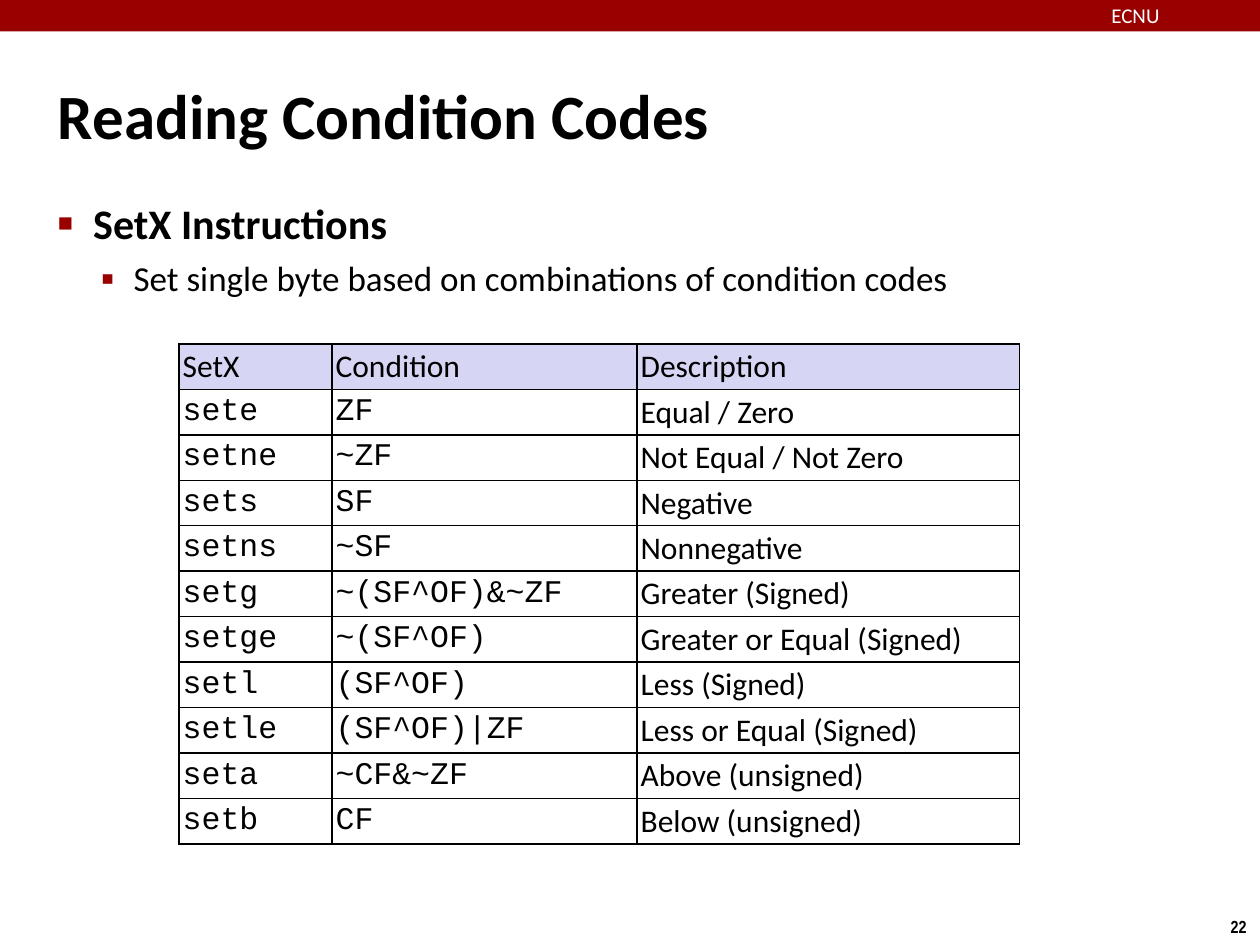
from lxml import etree
from pptx import Presentation
from pptx.dml.color import RGBColor
from pptx.enum.shapes import MSO_SHAPE
from pptx.enum.text import MSO_ANCHOR, MSO_AUTO_SIZE, PP_ALIGN
from pptx.oxml.ns import qn
from pptx.util import Inches, Pt

RECTANGLE = MSO_SHAPE.RECTANGLE
MIDDLE = MSO_ANCHOR.MIDDLE
NO_AUTOFIT = MSO_AUTO_SIZE.NONE
LEFT, CENTER = PP_ALIGN.LEFT, PP_ALIGN.CENTER

BLACK = RGBColor(0x00, 0x00, 0x00)
WHITE = RGBColor(0xFF, 0xFF, 0xFF)
CRIMSON = RGBColor(0x99, 0x00, 0x00)
LAVENDER = RGBColor(0xD6, 0xD6, 0xF4)
SANS, NARROW, MONO = "Calibri", "Arial Narrow", "Courier New"

PAGE_WIDTH, PAGE_HEIGHT = 10, 7.5
MARGIN, CONTENT_WIDTH = 0.42, 9.17
TITLE_BOX = (MARGIN, 0.28, CONTENT_WIDTH, 1.25)
BODY_BOX = (MARGIN, 1.53, CONTENT_WIDTH, 5.94)
TABLE_BOX = (1.42, 2.73, 6.67, 3.97)
BANNER_BOX = (0, 0, PAGE_WIDTH, 0.25)
NUMBER_BOX = (9.66, 7.22, 0.34, 0.27)

COLUMN_SHARES = (0.182, 0.363, 0.455)
HEADER = ("SetX", "Condition", "Description")
INSTRUCTIONS = (
    ("sete", "ZF", "Equal / Zero"),
    ("setne", "~ZF", "Not Equal / Not Zero"),
    ("sets", "SF", "Negative"),
    ("setns", "~SF", "Nonnegative"),
    ("setg", "~(SF^OF)&~ZF", "Greater (Signed)"),
    ("setge", "~(SF^OF)", "Greater or Equal (Signed)"),
    ("setl", "(SF^OF)", "Less (Signed)"),
    ("setle", "(SF^OF)|ZF", "Less or Equal (Signed)"),
    ("seta", "~CF&~ZF", "Above (unsigned)"),
    ("setb", "CF", "Below (unsigned)"),
)


def inches(box):
    return [Inches(length) for length in box]


def style(para, size, font=SANS, color=BLACK, bold=False):
    para.font.size = Pt(size)
    para.font.name = font
    para.font.color.rgb = color
    para.font.bold = bold


def set_insets(target, inset):
    """Give a text frame or a table cell the same inset on all sides."""
    target.margin_left = target.margin_right = Inches(inset)
    target.margin_top = target.margin_bottom = Inches(inset)


def add_text_frame(page, box, inset):
    frame = page.shapes.add_textbox(*inches(box)).text_frame
    frame.word_wrap = True
    set_insets(frame, inset)
    return frame


def add_bullet(para, symbol, percent, indent, hanging):
    props = para._p.get_or_add_pPr()
    props.set("marL", str(Inches(indent)))
    props.set("indent", str(-Inches(hanging)))
    color = etree.SubElement(props, qn("a:buClr"))
    etree.SubElement(color, qn("a:srgbClr"), val=str(CRIMSON))
    etree.SubElement(props, qn("a:buSzPct"), val=str(percent * 1000))
    etree.SubElement(props, qn("a:buFont"), typeface="Arial")
    etree.SubElement(props, qn("a:buChar"), char=symbol)


def add_banner(page, box):
    left, top, width, height = box
    band = page.shapes.add_shape(RECTANGLE, *inches(box))
    band.shadow.inherit = False
    band.fill.solid()
    band.fill.fore_color.rgb = CRIMSON
    band.line.fill.background()
    label_box = (left + 0.882 * width, top + 0.02, 0.118 * width, height - 0.06)
    para = add_text_frame(page, label_box, 0).paragraphs[0]
    para.text = "ECNU"
    style(para, 12, color=WHITE)


def fill_title(page, box):
    title = page.shapes.title
    title.left, title.top, title.width, title.height = inches(box)
    frame = title.text_frame
    frame.auto_size = NO_AUTOFIT
    frame.vertical_anchor = MIDDLE
    set_insets(frame, 0.04)
    para = frame.paragraphs[0]
    para.text = "Reading Condition Codes"
    para.alignment = LEFT
    style(para, 36, bold=True)


def add_body(page, box):
    frame = add_text_frame(page, box, 0.04)
    heading = frame.paragraphs[0]
    heading.text = "SetX Instructions"
    add_bullet(heading, "■", 60, 0.28, 0.28)
    style(heading, 24, bold=True)
    detail = frame.add_paragraph()
    detail.text = "Set single byte based on combinations of condition codes"
    detail.level = 1
    add_bullet(detail, "▪", 110, 0.6, 0.26)
    detail.space_before = Pt(5)
    style(detail, 20)


def add_borders(cell):
    props = cell._tc.get_or_add_tcPr()
    for side in ("a:lnL", "a:lnR", "a:lnT", "a:lnB"):
        line = etree.SubElement(props, qn(side), w=str(Pt(1)))
        fill = etree.SubElement(line, qn("a:solidFill"))
        etree.SubElement(fill, qn("a:srgbClr"), val=str(BLACK))


def add_instruction_table(page, box):
    rows = (HEADER, *INSTRUCTIONS)
    table = page.shapes.add_table(len(rows), len(HEADER), *inches(box)).table
    table.first_row = table.horz_banding = False
    for column, share in zip(table.columns, COLUMN_SHARES):
        column.width = Inches(share * box[2])
    for row_index, texts in enumerate(rows):
        table.rows[row_index].height = Inches(box[3] / len(rows))
        for column_index, text in enumerate(texts):
            cell = table.cell(row_index, column_index)
            set_insets(cell, 0.03)
            cell.vertical_anchor = MIDDLE
            add_borders(cell)
            is_header = row_index == 0
            if is_header:
                cell.fill.solid()
                cell.fill.fore_color.rgb = LAVENDER
            else:
                cell.fill.background()
            para = cell.text_frame.paragraphs[0]
            para.text = text
            is_code = not is_header and column_index < 2
            style(para, 18, font=MONO if is_code else SANS)


def add_page_number(page, box):
    frame = add_text_frame(page, box, 0.05)
    frame.word_wrap = False
    para = frame.paragraphs[0]
    para.text = "22"
    para.alignment = CENTER
    style(para, 10, font=NARROW, bold=True)


def main():
    deck = Presentation()
    deck.slide_width, deck.slide_height = Inches(PAGE_WIDTH), Inches(PAGE_HEIGHT)
    page = deck.slides.add_slide(deck.slide_layouts[5])
    add_page_number(page, NUMBER_BOX)
    add_banner(page, BANNER_BOX)
    fill_title(page, TITLE_BOX)
    add_body(page, BODY_BOX)
    add_instruction_table(page, TABLE_BOX)
    deck.save("out.pptx")


if __name__ == "__main__":
    main()
